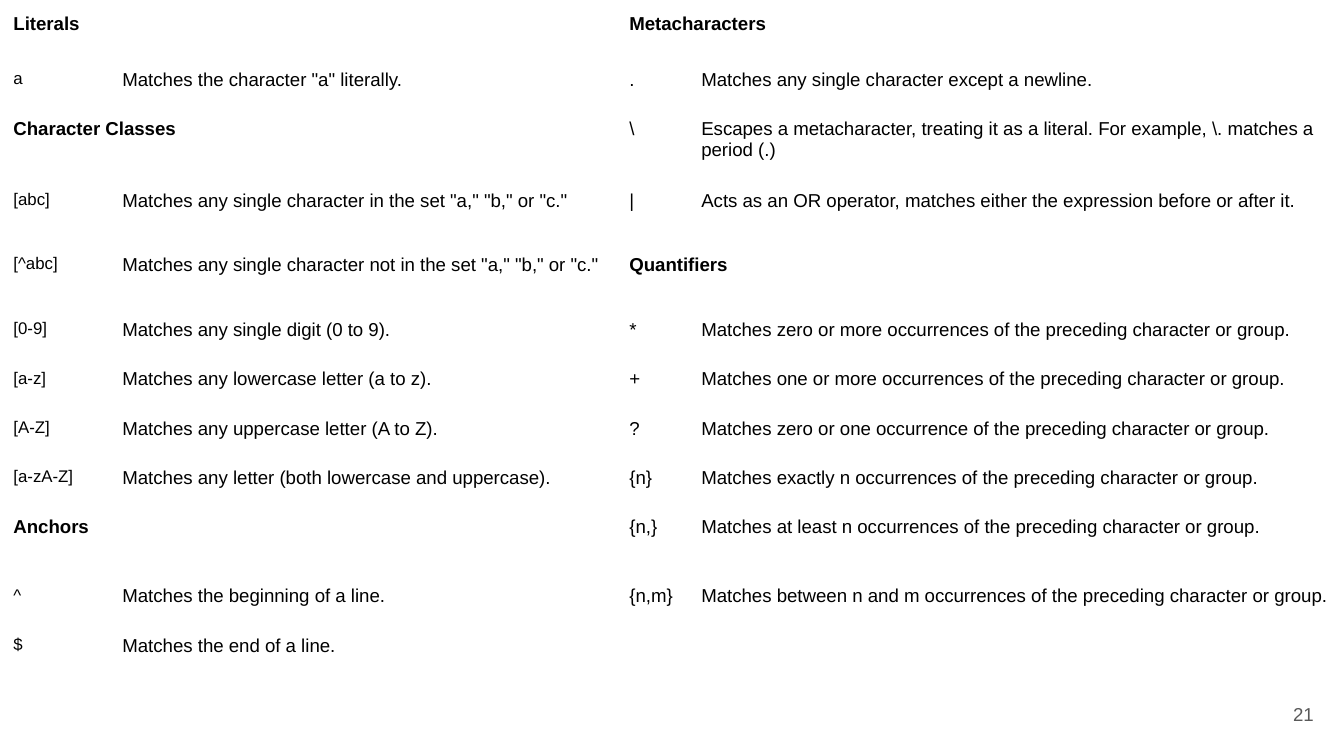
from pptx import Presentation
from pptx import util as u
from pptx.dml.color import RGBColor
from pptx.enum import text

PX = 914400 / 134.4

COLUMNS = [109, 507, 72, 656]
ROW_HEIGHTS = [56, 49, 69, 64, 65, 47, 48, 47, 48, 69, 49, 50]

# Each half of the sheet: a one-item tuple is a heading, a pair is pattern and meaning.
LEFT = [
    ("Literals",),
    ("a", 'Matches the character "a" literally.'),
    ("Character Classes",),
    ("[abc]", 'Matches any single character in the set "a," "b," or "c."'),
    ("[^abc]", 'Matches any single character not in the set "a," "b," or "c."'),
    ("[0-9]", "Matches any single digit (0 to 9)."),
    ("[a-z]", "Matches any lowercase letter (a to z)."),
    ("[A-Z]", "Matches any uppercase letter (A to Z)."),
    ("[a-zA-Z]", "Matches any letter (both lowercase and uppercase)."),
    ("Anchors",),
    ("^", "Matches the beginning of a line."),
    ("$", "Matches the end of a line."),
]
RIGHT = [
    ("Metacharacters",),
    (".", "Matches any single character except a newline."),
    ("\\", "Escapes a metacharacter, treating it as a literal. "
           "For example, \\. matches a period (.)"),
    ("|", "Acts as an OR operator, matches either the expression before or after it."),
    ("Quantifiers",),
    ("*", "Matches zero or more occurrences of the preceding character or group."),
    ("+", "Matches one or more occurrences of the preceding character or group."),
    ("?", "Matches zero or one occurrence of the preceding character or group."),
    ("{n}", "Matches exactly n occurrences of the preceding character or group."),
    ("{n,}", "Matches at least n occurrences of the preceding character or group."),
    ("{n,m}", "Matches between n and m occurrences of the preceding character or group."),
    ("", ""),
]


def px(n):
    return u.Emu(round(n * PX))


def color(value):
    return RGBColor.from_string(value)


class Sheet:
    font = "Arial"
    ink = "000000"
    muted = "595959"
    size = 10
    pattern_size = 9
    inset = u.Inches(0.1)

    def __init__(self, slide):
        self.s = slide

    def pad(self, box):
        box.margin_left = box.margin_right = self.inset
        box.margin_top = box.margin_bottom = self.inset

    def set_text(self, tf, words, size, ink, bold=False):
        p = tf.paragraphs[0]
        p.text = words
        for r in p.runs:
            r.font.name = self.font
            r.font.size = u.Pt(size)
            r.font.bold = bold
            r.font.color.rgb = color(ink)
        # Empty cells would otherwise take the height of 18 pt text.
        p._p.get_or_add_endParaRPr().set("sz", str(size * 100))
        return p

    def table(self, x, y, columns, heights, halves):
        frame = self.s.shapes.add_table(len(heights), len(columns), px(x), px(y),
                                        px(sum(columns)), px(sum(heights)))
        table = frame.table
        table.first_row = table.horz_banding = False
        for column, width in zip(table.columns, columns):
            column.width = px(width)
        for row, height in zip(table.rows, heights):
            row.height = px(height)
        for i, entries in enumerate(zip(*halves)):
            for half, entry in enumerate(entries):
                self.entry(table, i, 2 * half, entry)

    def entry(self, table, row, col, entry):
        """Fill two neighbouring cells, merged when the entry is a heading."""
        heading = len(entry) == 1
        cells = [table.cell(row, col), table.cell(row, col + 1)]
        for j, (cell, words) in enumerate(zip(cells, (*entry, ""))):
            pattern = col + j == 0 and not heading
            self.pad(cell)
            cell.fill.background()
            self.set_text(cell.text_frame, words,
                          self.pattern_size if pattern else self.size, self.ink, heading)
        if heading:
            cells[0].merge(cells[1])

    def page_number(self, x, y, w, h, number):
        sp = self.s.shapes.add_textbox(px(x), px(y), px(w), px(h))
        tf = sp.text_frame
        tf.word_wrap = True
        tf.vertical_anchor = text.MSO_ANCHOR.MIDDLE
        self.pad(tf)
        p = self.set_text(tf, str(number), self.size, self.muted)
        p.alignment = text.PP_ALIGN.RIGHT


def main():
    prs = Presentation()
    prs.slide_width, prs.slide_height = px(1344), px(756)
    sheet = Sheet(prs.slides.add_slide(prs.slide_layouts[6]))
    sheet.page_number(1246, 685, 81, 58, 21)
    sheet.table(0, 0, COLUMNS, ROW_HEIGHTS, (LEFT, RIGHT))
    prs.save("out.pptx")


if __name__ == "__main__":
    main()
